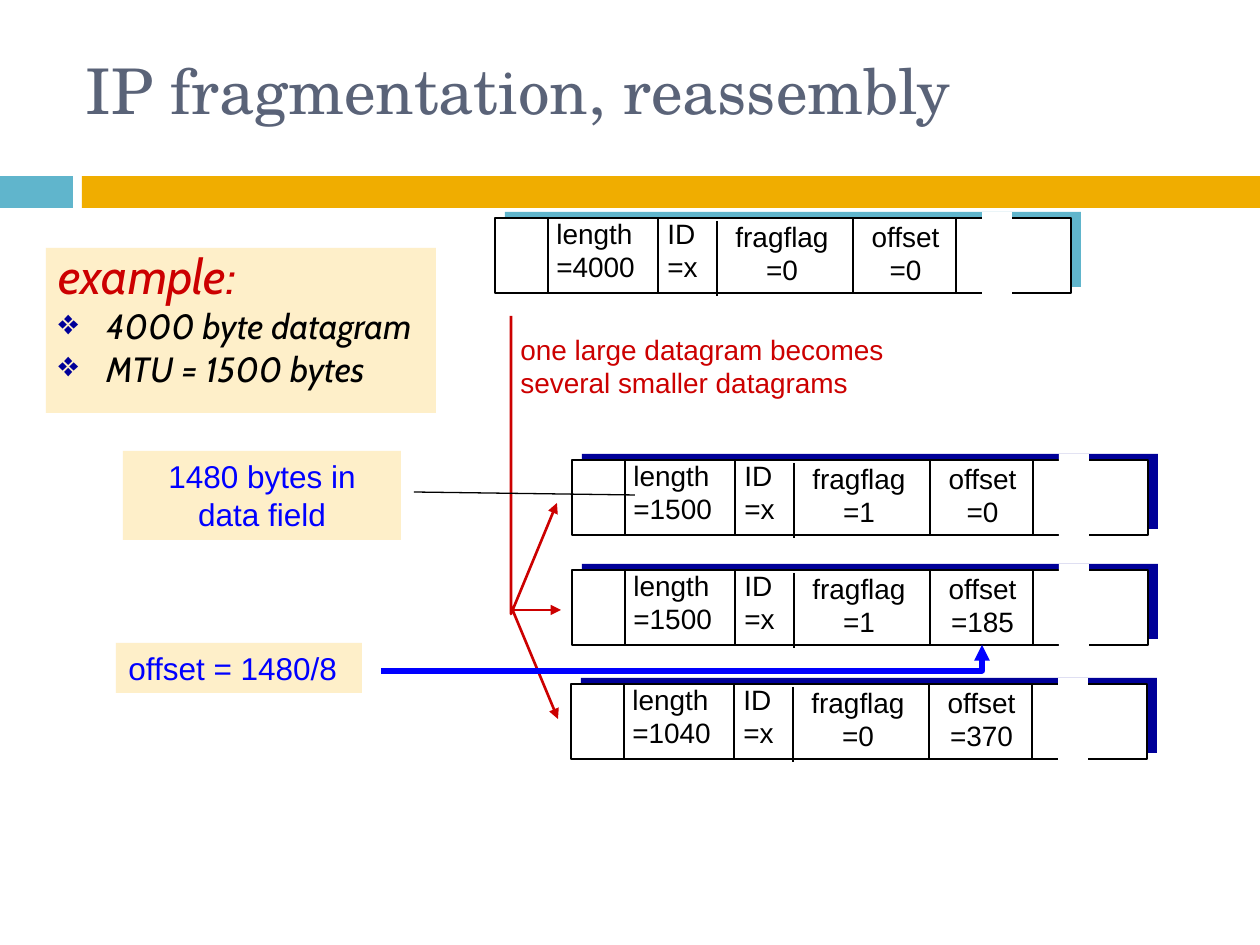
from dataclasses import dataclass

from lxml.etree import SubElement
from pptx import Presentation
from pptx.dml.color import RGBColor
from pptx.enum.shapes import MSO_CONNECTOR, MSO_SHAPE
from pptx.enum.text import MSO_ANCHOR, MSO_AUTO_SIZE, PP_ALIGN
from pptx.oxml.ns import qn
from pptx.util import Emu, Pt

SCALE = 914400 / 126


@dataclass(frozen=True)
class Theme:
    """Colours, fonts and type sizes of the slide."""

    teal: str = "60B5CC"
    amber: str = "F0AD00"
    navy: str = "000099"
    cream: str = "FEEFC9"
    red: str = "CC0000"
    blue: str = "0000FF"
    slate: str = "5A6378"
    black: str = "000000"
    white: str = "FFFFFF"
    sans: str = "Arial"
    example_font: str = "Cabin"
    title_font: str = "TeX Gyre Schola"
    title_size: int = 36
    heading_size: int = 28
    bullet_size: int = 20
    note_size: int = 18
    cell_size: int = 16


THEME = Theme()


def px(value):
    """Turn px into EMU."""
    return Emu(round(value * SCALE))


def rgb(colour):
    """Turn a hex string into a colour."""
    return RGBColor.from_string(colour)


def add_bullet(paragraph):
    """Give a paragraph a navy diamond bullet."""
    properties = paragraph._p.get_or_add_pPr()
    properties.set("marL", str(px(48)))
    properties.set("indent", str(-px(48)))
    colour = SubElement(properties, qn("a:buClr"))
    SubElement(colour, qn("a:srgbClr"), val=THEME.navy)
    SubElement(properties, qn("a:buChar"), char="❖")


def write(frame, *lines, size=THEME.cell_size, colour=THEME.black, font=THEME.sans,
          italic=False, align=PP_ALIGN.LEFT, bullet=False, spacing=None, before=None):
    """Append formatted paragraphs to a text frame."""
    for line in lines:
        paragraph = frame.paragraphs[-1] if not frame.text else frame.add_paragraph()
        paragraph.text = line
        if bullet:
            add_bullet(paragraph)
        paragraph.alignment = align
        paragraph.line_spacing = spacing
        paragraph.space_before = before
        for run in paragraph.runs:
            run.font.size = Pt(size)
            run.font.name = font
            run.font.italic = italic
            run.font.color.rgb = rgb(colour)


def add_box(shapes, left, top, width, height, fill, line=None):
    """Add a plain rectangle and return its text frame."""
    shape = shapes.add_shape(MSO_SHAPE.RECTANGLE, px(left), px(top), px(width), px(height))
    shape.shadow.inherit = False
    shape.fill.solid()
    shape.fill.fore_color.rgb = rgb(fill)
    if line:
        shape.line.color.rgb = rgb(line)
        shape.line.width = Pt(1.5)
    else:
        shape.line.fill.background()
    frame = shape.text_frame
    frame.word_wrap = True
    frame.vertical_anchor = MSO_ANCHOR.TOP
    return frame


def add_label(shapes, left, top, width, height, *lines, **style):
    """Add a text box that keeps its given line breaks."""
    frame = shapes.add_textbox(px(left), px(top), px(width), px(height)).text_frame
    frame.word_wrap = False
    frame.auto_size = MSO_AUTO_SIZE.SHAPE_TO_FIT_TEXT
    write(frame, *lines, **style)


def style_line(shape, colour, width, arrow):
    """Set the stroke of a line and its arrowhead."""
    shape.line.color.rgb = rgb(colour)
    shape.line.width = Pt(width)
    if arrow:
        SubElement(shape.line._get_or_add_ln(), qn("a:tailEnd"), type="triangle")


def add_line(shapes, start, end, colour=THEME.black, width=1.5, arrow=False, bent=False):
    """Add a straight line, or one with a single right-angled bend."""
    kind = MSO_CONNECTOR.ELBOW if bent else MSO_CONNECTOR.STRAIGHT
    connector = shapes.add_connector(kind, *map(px, start + end))
    properties = connector._element.spPr
    if bent:
        properties.find(qn("a:prstGeom")).set("prst", "bentConnector2")
    style_line(connector, colour, width, arrow)
    SubElement(properties, qn("a:effectLst"))


def add_path(shapes, points, colour):
    """Add an open outline that ends in an arrowhead."""
    builder = shapes.build_freeform(*points[0], scale=SCALE)
    builder.add_line_segments(points[1:], close=False)
    shape = builder.convert_to_shape()
    shape.shadow.inherit = False
    shape.fill.background()
    style_line(shape, colour, 1.5, True)


def add_datagram(slide, left, top, shade, length, flag, offset):
    """Add one datagram with its header fields and a gap in its data."""
    shapes = slide.shapes.add_group_shape().shapes
    add_box(shapes, left + 10, top - 6, 576, 75, shade)
    add_box(shapes, left, top, 576, 75, THEME.white, THEME.black)
    fields = [
        (49, -8, 105, "length", length, PP_ALIGN.LEFT),
        (160, -8, 57, "ID", "x", PP_ALIGN.LEFT),
        (227, -5, 120, "fragflag", flag, PP_ALIGN.CENTER),
        (363, -5, 95, "offset", offset, PP_ALIGN.CENTER),
    ]
    for x, y, width, name, value, align in fields:
        add_label(shapes, left + x, top + y, width, 81, name, f"={value}", align=align)
    for x, drop in ((53, 0), (163, 0), (222, 3), (358, 0), (461, 0)):
        add_line(shapes, (left + x, top + drop), (left + x, top + drop + 75))
    add_box(shapes, left + 487, top - 6, 30, 83, THEME.white)


def add_title(slide, text):
    """Place and format the title placeholder."""
    title = slide.shapes.title
    title.left, title.top, title.width, title.height = map(px, (73, 25, 1071, 129))
    title.text_frame.vertical_anchor = MSO_ANCHOR.MIDDLE
    write(title.text_frame, text, size=THEME.title_size, colour=THEME.slate,
          font=THEME.title_font)


def add_notes(shapes):
    """Add the example panel and the two computed values."""
    example = add_box(shapes, 46, 248, 390, 165, THEME.cream)
    style = {"font": THEME.example_font, "italic": True, "spacing": 0.85}
    write(example, "example:", size=THEME.heading_size, colour=THEME.red, **style)
    write(example, "4000 byte datagram", "MTU = 1500 bytes", size=THEME.bullet_size,
          bullet=True, before=Pt(4), **style)
    style = {"size": THEME.note_size, "colour": THEME.blue}
    data_field = add_box(shapes, 123, 451, 278, 89, THEME.cream)
    write(data_field, "1480 bytes in\vdata field", align=PP_ALIGN.CENTER, **style)
    offset = add_box(shapes, 116, 643, 246, 50, THEME.cream)
    write(offset, "offset = 1480/8", **style)


def add_arrows(shapes):
    """Add the split into fragments and the pointers from the notes."""
    add_path(shapes, [(511, 316), (511, 614), (557, 503)], THEME.red)
    add_line(shapes, (511, 610), (561, 610), THEME.red, arrow=True)
    add_line(shapes, (513, 611), (558, 719), THEME.red, arrow=True)
    add_line(shapes, (414, 492), (635, 495), width=0.75)
    add_line(shapes, (381, 671), (982, 645), THEME.blue, 3, arrow=True, bent=True)


def main():
    """Build the slide and save it."""
    presentation = Presentation()
    presentation.slide_width, presentation.slide_height = px(1260), px(945)
    slide = presentation.slides.add_slide(presentation.slide_layouts[5])
    add_title(slide, "IP fragmentation, reassembly")
    add_box(slide.shapes, 0, 176, 73, 32, THEME.teal)
    add_box(slide.shapes, 82, 176, 1178, 32, THEME.amber)
    add_datagram(slide, 495, 218, THEME.teal, 4000, 0, 0)
    add_datagram(slide, 572, 460, THEME.navy, 1500, 1, 0)
    add_datagram(slide, 572, 570, THEME.navy, 1500, 1, 185)
    add_datagram(slide, 571, 684, THEME.navy, 1040, 0, 370)
    add_label(slide.shapes, 508, 326, 393, 81, "one large datagram becomes",
              "several smaller datagrams", colour=THEME.red)
    add_notes(slide.shapes)
    add_arrows(slide.shapes)
    presentation.save("out.pptx")


if __name__ == "__main__":
    main()
